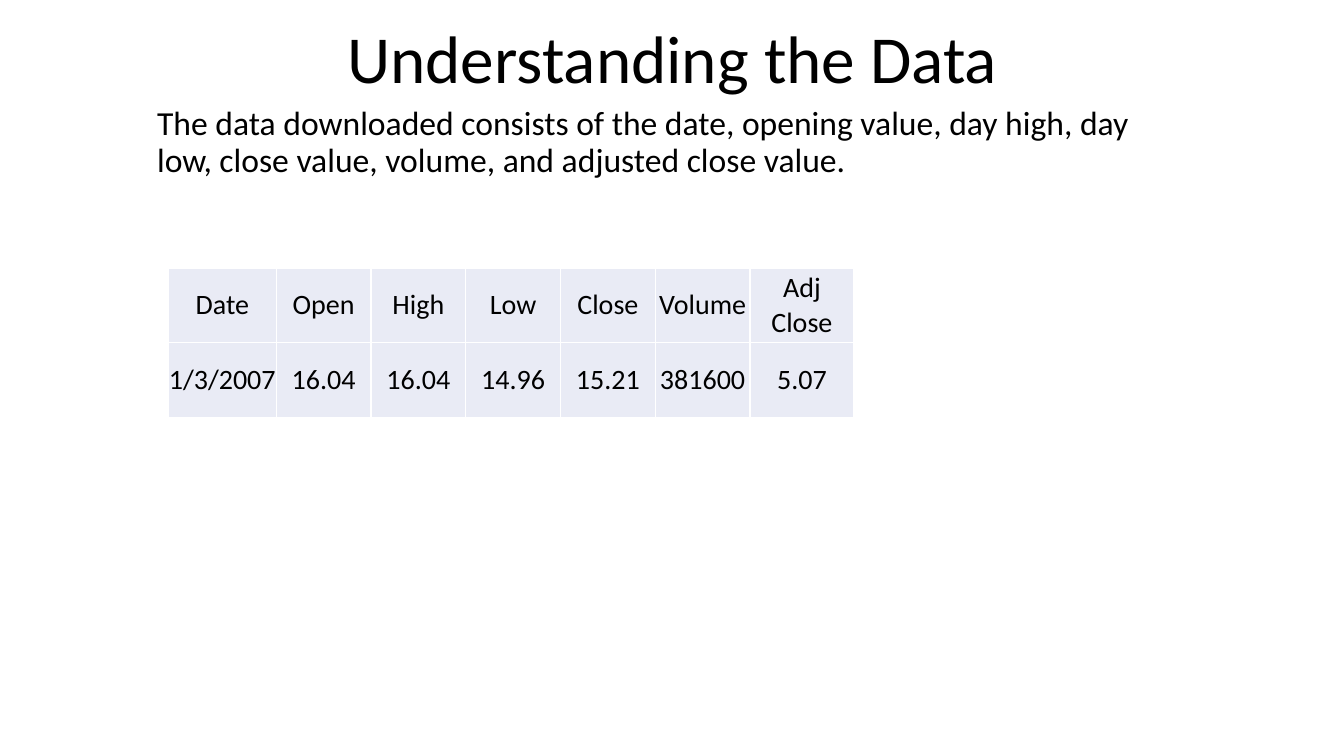
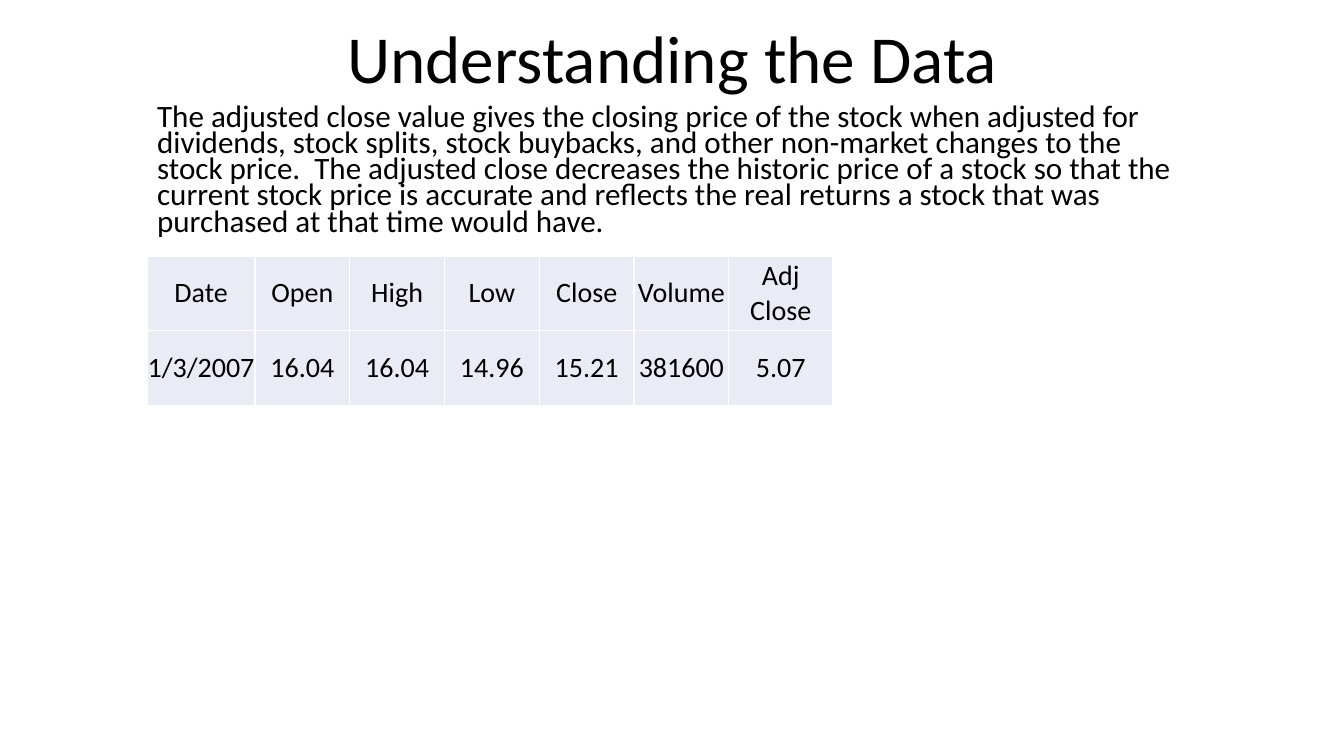
"""Build two slides that explain the downloaded stock price data."""
from dataclasses import dataclass

from lxml import etree
from pptx import Presentation
from pptx.dml.color import RGBColor
from pptx.enum import text
from pptx.oxml import ns
from pptx.util import Inches, Pt

TITLE = "Understanding the Data"
PRICES = [
    ("Date", "Open", "High", "Low", "Close", "Volume", "Adj Close"),
    ("1/3/2007", "16.04", "16.04", "14.96", "15.21", "381600", "5.07"),
]
COLUMN_WIDTHS = [1.07] + [0.94] * 5 + [1.03]
ROW_HEIGHT = 0.74
SLIDES = [
    {
        "body": "The data downloaded consists of the date, opening value, day high, "
                "day low, close value, volume, and adjusted close value.",
        "height": 0.92, "size": 24, "spacing": 0.9, "table_at": (1.67, 2.66),
    },
    {
        "body": "The adjusted close value gives the closing price of the stock when "
                "adjusted for dividends, stock splits, stock buybacks, and other "
                "non-market changes to the stock price.  The adjusted close decreases "
                "the historic price of a stock so that the current stock price is "
                "accurate and reflects the real returns a stock that was purchased at "
                "that time would have.",
        "height": 1.45, "size": 22.2, "spacing": 0.7, "table_at": (1.46, 2.54),
    },
]


@dataclass(frozen=True)
class Theme:
    font: str = "Calibri"
    ink: str = "000000"
    cell: str = "E9EBF5"
    border: str = "FFFFFF"
    border_width: float = 1
    title_size: float = 48
    table_size: float = 20


THEME = Theme()


def write(frame, wording, size, align=text.PP_ALIGN.LEFT, spacing=None, before=None):
    frame.word_wrap = True
    paragraph = frame.paragraphs[0]
    paragraph.alignment = align
    paragraph.line_spacing = spacing
    if before is not None:
        paragraph.space_before = Pt(before)
    run = paragraph.add_run()
    run.text = wording
    run.font.name = THEME.font
    run.font.size = Pt(size)
    run.font.color.rgb = RGBColor.from_string(THEME.ink)


def add_text(slide, wording, box, **style):
    write(slide.shapes.add_textbox(*map(Inches, box)).text_frame, wording, **style)


def outline(cell):
    properties = cell._tc.get_or_add_tcPr()
    for position, side in enumerate(("lnL", "lnR", "lnT", "lnB")):
        line = etree.Element(ns.qn(f"a:{side}"), w=str(Pt(THEME.border_width)))
        fill = etree.SubElement(line, ns.qn("a:solidFill"))
        etree.SubElement(fill, ns.qn("a:srgbClr"), val=THEME.border)
        properties.insert(position, line)


def add_prices(slide, left, top):
    size = (sum(COLUMN_WIDTHS), ROW_HEIGHT * len(PRICES))
    table = slide.shapes.add_table(
        len(PRICES), len(COLUMN_WIDTHS), *map(Inches, (left, top, *size))).table
    table.first_row = table.horz_banding = False
    for column, width in zip(table.columns, COLUMN_WIDTHS):
        column.width = Inches(width)
    for row, values in zip(table.rows, PRICES):
        row.height = Inches(ROW_HEIGHT)
        for cell, value in zip(row.cells, values):
            cell.margin_left = cell.margin_right = Inches(0)
            cell.margin_top = cell.margin_bottom = Inches(0)
            cell.vertical_anchor = text.MSO_ANCHOR.MIDDLE
            cell.fill.solid()
            cell.fill.fore_color.rgb = RGBColor.from_string(THEME.cell)
            outline(cell)
            write(cell.text_frame, value, THEME.table_size, align=text.PP_ALIGN.CENTER)


def main():
    deck = Presentation()
    deck.slide_width, deck.slide_height = Inches(13.33), Inches(7.5)
    for content in SLIDES:
        slide = deck.slides.add_slide(deck.slide_layouts[6])
        add_text(slide, TITLE, (1.67, 0.2, 10, 1.39), size=THEME.title_size,
                 align=text.PP_ALIGN.CENTER, spacing=0.9)
        add_text(slide, content["body"], (1.46, 1.01, 10.42, content["height"]),
                 size=content["size"], spacing=content["spacing"], before=10)
        add_prices(slide, *content["table_at"])
    deck.save("out.pptx")


if __name__ == "__main__":
    main()
